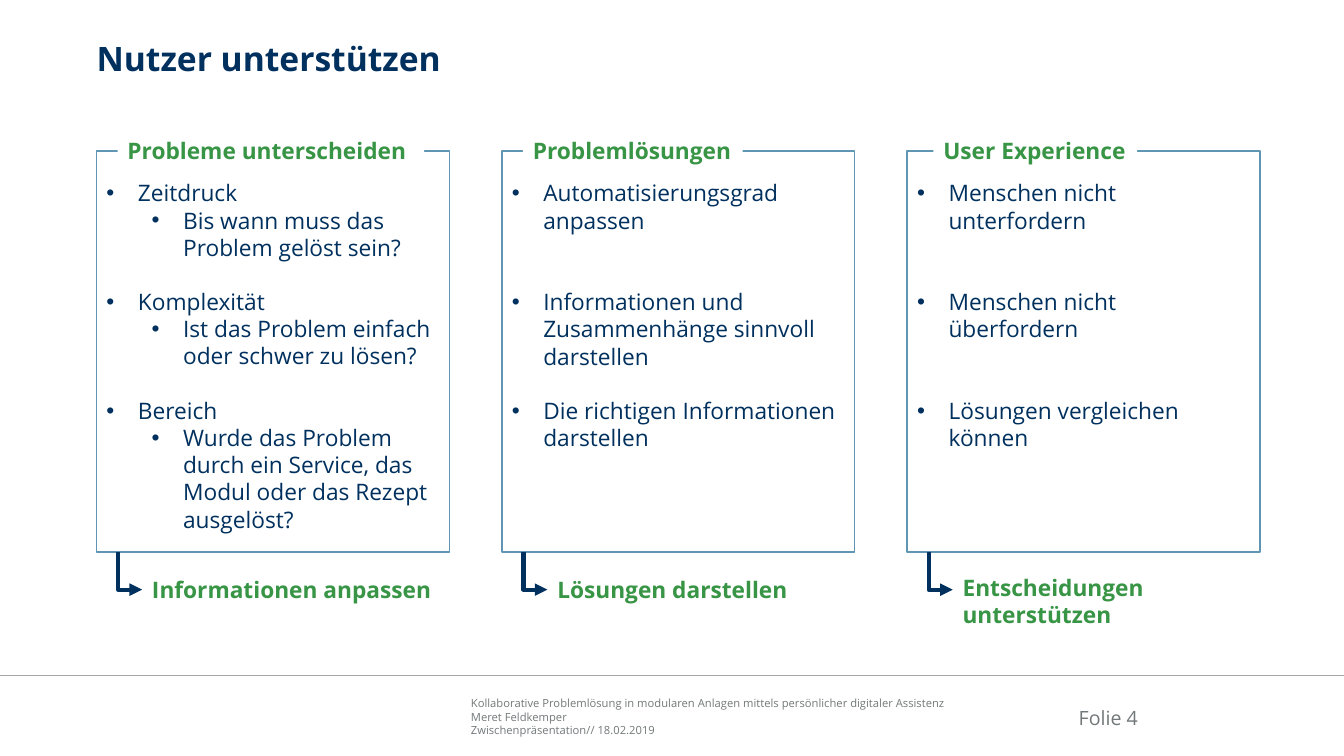
from pptx import Presentation
from pptx.dml.color import RGBColor
from pptx.enum.shapes import MSO_CONNECTOR, MSO_SHAPE
from pptx.enum.text import MSO_ANCHOR as ANCHOR, PP_ALIGN as ALIGN
from pptx.oxml.ns import qn
from pptx.util import Pt
from lxml.etree import SubElement

FONT = "Open Sans"
NAVY, GREEN, BLUE = "00305E", "379545", "6096B3"
GRAY, RULE, WHITE = "727879", "A6A6A6", "FFFFFF"
SIZE = 16.2
LEADING = 1.2
LINE = SIZE * LEADING

# Each column: heading, its offset and width, result, its width and height,
# and a list of (level, blank lines above, text).
COLUMNS = [
    ("Probleme unterscheiden", 15, 219, "Informationen anpassen", 219, 26.6, [
        (0, 0, "Zeitdruck"),
        (1, 0, "Bis wann muss das Problem gelöst sein?"),
        (0, 1, "Komplexität"),
        (1, 0, "Ist das Problem einfach oder schwer zu lösen?"),
        (0, 1, "Bereich"),
        (1, 0, "Wurde das Problem durch ein Service, das Modul oder das Rezept "
               "ausgelöst?")]),
    ("Problemlösungen", 15, 157, "Lösungen darstellen", 182, 26.6, [
        (0, 0, "Automatisierungsgrad anpassen"),
        (0, 2, "Informationen und Zusammenhänge sinnvoll darstellen"),
        (0, 1, "Die richtigen Informationen darstellen")]),
    ("User Experience", 18.7, 145.5, "Entscheidungen unterstützen", 225.4, 45.4, [
        (0, 0, "Menschen nicht unterfordern"),
        (0, 2, "Menschen nicht überfordern"),
        (0, 2, "Lösungen vergleichen können")]),
]
FOOTER = [
    "Kollaborative Problemlösung in modularen Anlagen mittels persönlicher "
    "digitaler Assistenz",
    "Meret Feldkemper",
    "Zwischenpräsentation// 18.02.2019",
]


def rgb(color):
    return RGBColor.from_string(color)


def set_frame(tf, anchor, insets):
    tf.word_wrap = True
    tf.vertical_anchor = anchor
    tf.margin_left, tf.margin_top, tf.margin_right, tf.margin_bottom = map(Pt, insets)


def add_run(p, text, size, color, bold=False):
    p.line_spacing = Pt(size * LEADING)
    r = p.add_run()
    r.text = text
    r.font.name, r.font.size, r.font.bold = FONT, Pt(size), bold
    r.font.color.rgb = rgb(color)


def paragraph(tf, index):
    return tf.add_paragraph() if index else tf.paragraphs[0]


def add_bullet(p, level):
    p.level = level
    pPr = p._p.get_or_add_pPr()
    pPr.set("marL", str(Pt(22.5 + 32.25 * level)))
    pPr.set("indent", str(Pt(-22.5)))
    SubElement(pPr, qn("a:buFont")).set("typeface", "Arial")
    SubElement(pPr, qn("a:buChar")).set("char", "•")


def add_rect(s, x, y, w, h, line=None):
    sp = s.shapes.add_shape(MSO_SHAPE.RECTANGLE, Pt(x), Pt(y), Pt(w), Pt(h))
    sp.shadow.inherit = False
    sp.fill.solid()
    sp.fill.fore_color.rgb = rgb(WHITE)
    if line:
        sp.line.color.rgb = rgb(line)
        sp.line.width = Pt(1)
    else:
        sp.line.fill.background()
    return sp


def add_label(s, text, x, y, w, h):
    tf = add_rect(s, x, y, w, h).text_frame
    set_frame(tf, ANCHOR.MIDDLE, (7.2, 3.6, 7.2, 3.6))
    p = tf.paragraphs[0]
    p.alignment = ALIGN.LEFT
    add_run(p, text, SIZE, GREEN, True)


def add_line(s, kind, x1, y1, x2, y2, color, width):
    line = s.shapes.add_connector(kind, Pt(x1), Pt(y1), Pt(x2), Pt(y2))
    line.line.color.rgb = rgb(color)
    line.line.width = Pt(width)
    SubElement(line._element.spPr, qn("a:effectLst"))
    return line


def add_down_right_arrow(s, x, y, w, h):
    """Elbow that runs down by h, then right by w; the preset is turned by 270°."""
    left, top = x + (w - h) / 2, y + (h - w) / 2
    arrow = add_line(s, MSO_CONNECTOR.ELBOW, left, top, left + h, top + w, NAVY, 3)
    spPr = arrow._element.spPr
    spPr.find(qn("a:prstGeom")).set("prst", "bentConnector2")
    xfrm = spPr.find(qn("a:xfrm"))
    xfrm.set("rot", "16200000")
    xfrm.set("flipH", "1")
    SubElement(spPr.find(qn("a:ln")), qn("a:tailEnd")).set("type", "triangle")


def add_title(s, text, x, y, w, h):
    title = s.shapes.title
    title.left, title.top, title.width, title.height = map(Pt, (x, y, w, h))
    tf = title.text_frame
    set_frame(tf, ANCHOR.TOP, (0, 0, 0, 0))
    p = tf.paragraphs[0]
    p.alignment = ALIGN.LEFT
    add_run(p, text, 24, NAVY, True)


def add_column(s, column, x, y, w, h):
    heading, offset, heading_w, result, result_w, result_h, items = column
    tf = add_rect(s, x, y, w, h, BLUE).text_frame
    set_frame(tf, ANCHOR.TOP, (7.2, 20.2, 7.2, 3.6))
    for i, (level, blank_lines, text) in enumerate(items):
        p = paragraph(tf, i)
        add_bullet(p, level)
        p.alignment = ALIGN.LEFT
        if blank_lines:
            p.space_before = Pt(blank_lines * LINE)
        add_run(p, text, SIZE, NAVY)
    add_label(s, heading, x + offset, y - 13.5, heading_w, 26.6)
    bottom = y + h
    result_y = bottom + (13.6 if result_h < 2 * LINE else 12.2)
    add_label(s, result, x + 32.5, result_y, result_w, result_h)
    add_down_right_arrow(s, x + 15.5, bottom, 17, 26.8)


def add_small_text(s, lines, size, align, x, y, w, h):
    tf = s.shapes.add_textbox(Pt(x), Pt(y), Pt(w), Pt(h)).text_frame
    set_frame(tf, ANCHOR.BOTTOM, (0, 0, 0, 0))
    for i, text in enumerate(lines):
        p = paragraph(tf, i)
        p.alignment = align
        add_run(p, text, size, GRAY)


def add_footer(s, y, w):
    add_line(s, MSO_CONNECTOR.STRAIGHT, 0, y, w, y, RULE, 1)
    add_small_text(s, FOOTER, 8, ALIGN.LEFT, 336.4, y + 15, 353.6, 29)
    add_small_text(s, ["Folie 4"], 14, ALIGN.RIGHT, 741.6, y + 12, 71.3, 26.8)


def main():
    prs = Presentation()
    prs.slide_width, prs.slide_height = Pt(960), Pt(540)
    s = prs.slides.add_slide(prs.slide_layouts[5])
    add_footer(s, 482.4, 960)
    add_title(s, "Nutzer unterstützen", 69, 27.4, 833, 54)
    for i, column in enumerate(COLUMNS):
        add_column(s, column, 69 + 289.5 * i, 107.8, 252, 286.6)
    prs.save("out.pptx")


if __name__ == "__main__":
    main()
